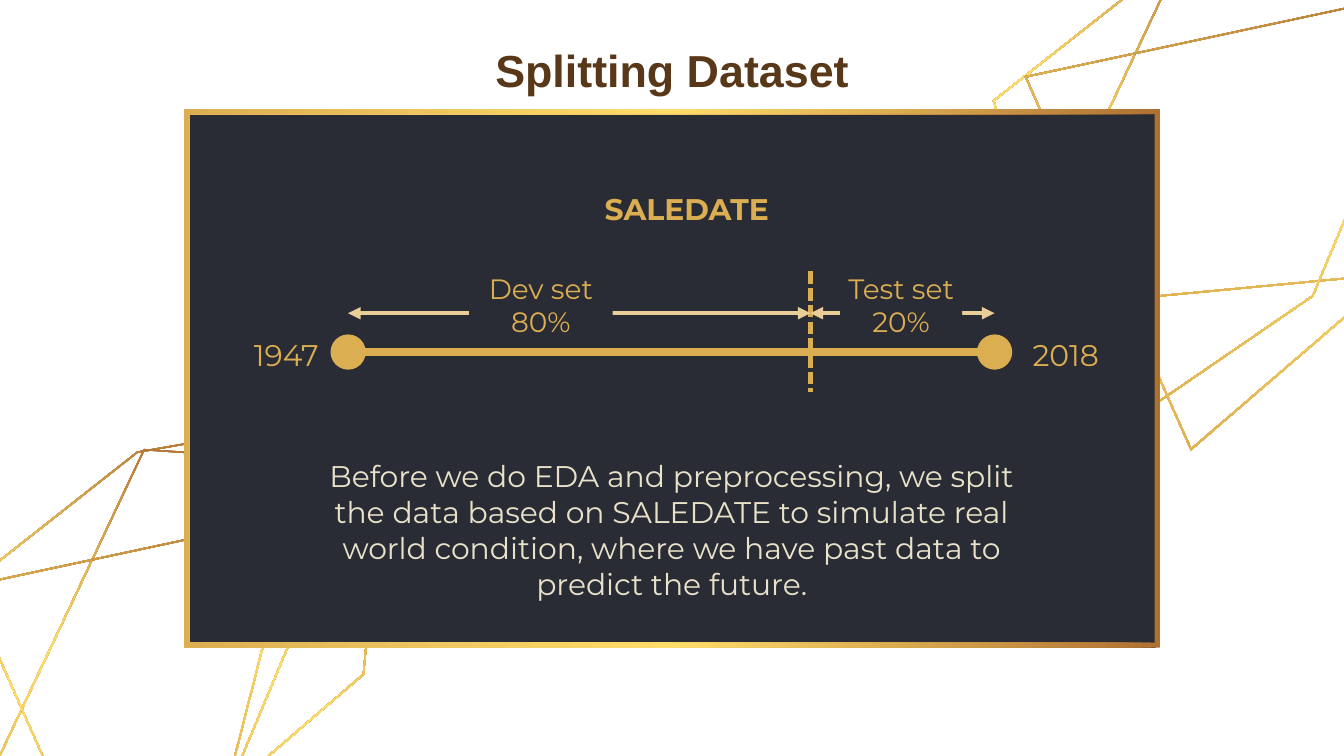
from copy import deepcopy
from math import hypot
from typing import NamedTuple

from lxml import etree
from pptx import Presentation
from pptx.dml.color import RGBColor
from pptx.enum import dml, shapes, text
from pptx.oxml import ns
from pptx.util import Pt

Point = tuple[float, float]

COLORS = {
    "gold": "DCAE52",
    "bright": "FFDD6B",
    "bronze": "AF7132",
    "sand": "EACE97",
    "cream": "E9E2C9",
    "panel": "292C35",
    "brown": "583819",
}
BODY_FONT = "Montserrat"


class Polygon(NamedTuple):
    points: list[Point]  # clockwise, bottom left corner of the slide
    right_shift: Point  # move of its enlarged twin, top right corner


class Label(NamedTuple):
    box: tuple[float, float, float, float]
    words: str
    style: dict


POLYGONS = [
    Polygon([(-38.2, 329.8), (73.4, 241.9), (147.6, 229), (159.8, 273.6),
             (125.3, 409), (-11.5, 421.9)], (577.7, -341.9)),
    Polygon([(49, 463), (-7.9, 420.5), (77, 240.5), (195.8, 248.4),
             (128.9, 408.2)], (548.9, -331)),
    Polygon([(56.2, 481), (-18, 313.9), (203.8, 266.4), (195.1, 361.4)],
            (570.5, -335.8)),
]
TWIN_SCALE = 1.2
FRAME = [(98.6, 58.3), (621.4, 58.3), (621.4, 347), (98.6, 347)]

START_X, SPLIT_X, END_X = 186.5, 434.2, 532.8
AXIS_Y, ARROW_Y = 188.6, 167.8
DOT = 18.9

LABELS = [
    Label((213.8, 21.6, 292.4, 31), "Splitting Dataset",
          dict(size=24, color="brown", font="Arial", bold=True)),
    Label((156.2, 231.8, 407.5, 103.7),
          "Before we do EDA and preprocessing, we split the data based on "
          "SALEDATE to simulate real world condition, where we have past "
          "data to predict the future.", dict(color="cream")),
    Label((124.6, 177.8, 57.6, 24.5), "1947", {}),
    Label((542.2, 177.8, 57.6, 24.5), "2018", {}),
    Label((310.3, 95, 115.2, 33.1), "SALEDATE", dict(bold=True)),
]
SET_LABELS = [
    Label((251.3, 145.4, 77, 36), "Dev set\n80%", dict(size=15, inset=0)),
    Label((450, 145.4, 65.5, 36), "Test set\n20%", dict(size=15, inset=0)),
]


def rgb(name: str) -> RGBColor:
    return RGBColor.from_string(COLORS[name])


def inset_points(points: list[Point], width: float) -> list[Point]:
    """Move every edge of a clockwise polygon inwards by width."""
    normals = []
    for (x1, y1), (x2, y2) in zip(points, points[1:] + points[:1]):
        length = hypot(x2 - x1, y2 - y1)
        normals.append(((y1 - y2) / length, (x2 - x1) / length))
    inner = []
    for i, (x, y) in enumerate(points):
        (ax, ay), (bx, by) = normals[i - 1], normals[i]
        k = width / (1 + ax * bx + ay * by)
        inner.append((x + k * (ax + bx), y + k * (ay + by)))
    return inner


def add_ring(s, points: list[Point], width: float, angle: float) -> None:
    """Draw a closed band with the gold gradient."""
    outer, inner = ([(Pt(x), Pt(y)) for x, y in contour]
                    for contour in (points, inset_points(points, width)))
    inner.reverse()
    builder = s.shapes.build_freeform(*outer[0], scale=1.0)
    builder.add_line_segments(outer[1:], close=True)
    builder.move_to(*inner[0])
    builder.add_line_segments(inner[1:], close=True)
    sp = builder.convert_to_shape()
    sp.shadow.inherit = False
    sp.line.fill.background()
    sp.fill.gradient()
    sp.fill.gradient_angle = angle
    stops = sp._element.spPr.find(".//" + ns.qn("a:gsLst"))
    stops.insert(1, deepcopy(stops[0]))
    for i, name in enumerate(("bronze", "bright", "gold")):
        stop = sp.fill.gradient_stops[i]
        stop.position = i / 2
        stop.color.rgb = rgb(name)


def add_solid(s, kind, box: tuple, color: str):
    sp = s.shapes.add_shape(kind, *map(Pt, box))
    sp.shadow.inherit = False
    sp.fill.solid()
    sp.fill.fore_color.rgb = rgb(color)
    sp.line.fill.background()
    return sp


def add_line(s, start: Point, end: Point, color: str, width: float,
             dash=None, arrows: bool = False) -> None:
    c = s.shapes.add_connector(shapes.MSO_CONNECTOR.STRAIGHT,
                               *map(Pt, start + end))
    c.line.color.rgb = rgb(color)
    c.line.width = Pt(width)
    if dash:
        c.line.dash_style = dash
    if arrows:
        ln = c.line._get_or_add_ln()
        for tag in ("a:headEnd", "a:tailEnd"):
            etree.SubElement(ln, ns.qn(tag), type="triangle")
    etree.SubElement(c._element.spPr, ns.qn("a:effectLst"))


def write(sp, words: str, *, size: float = 16, color: str = "gold",
          font: str = BODY_FONT, bold: bool = False,
          inset: float = 7.2) -> None:
    tf = sp.text_frame
    tf.word_wrap = True
    tf.vertical_anchor = text.MSO_ANCHOR.MIDDLE
    tf.margin_left = tf.margin_right = Pt(inset)
    tf.margin_top = tf.margin_bottom = Pt(inset)
    tf.text = words
    for p in tf.paragraphs:
        p.alignment = text.PP_ALIGN.CENTER
        for r in p.runs:
            r.font.name = font
            r.font.size = Pt(size)
            r.font.bold = bold
            r.font.color.rgb = rgb(color)


def add_timeline(s) -> None:
    add_line(s, (START_X, AXIS_Y), (END_X, AXIS_Y), "gold", 4.5)
    for x in (START_X, END_X):
        add_solid(s, shapes.MSO_SHAPE.OVAL,
                  (x - DOT / 2, AXIS_Y - DOT / 2, DOT, DOT), "gold")
    add_line(s, (SPLIT_X, 145.4), (SPLIT_X, 210.2), "gold", 2.25,
             dash=dml.MSO_LINE.SQUARE_DOT)
    for x1, x2 in ((START_X, SPLIT_X), (SPLIT_X, END_X)):
        add_line(s, (x1, ARROW_Y), (x2, ARROW_Y), "sand", 2.25, arrows=True)
    for label in SET_LABELS:
        sp = add_solid(s, shapes.MSO_SHAPE.RECTANGLE, label.box, "panel")
        write(sp, label.words, **label.style)


def main() -> None:
    prs = Presentation()
    prs.slide_width, prs.slide_height = Pt(720), Pt(405)
    s = prs.slides.add_slide(prs.slide_layouts[6])
    for polygon in POLYGONS:
        dx, dy = polygon.right_shift
        twin = [(x * TWIN_SCALE + dx, y * TWIN_SCALE + dy)
                for x, y in polygon.points]
        for points in (polygon.points, twin):
            add_ring(s, points, 0.8, 264.7)
    add_solid(s, shapes.MSO_SHAPE.RECTANGLE, (100, 59.8, 519.1, 287.3), "panel")
    add_ring(s, FRAME, 2.8, 180)
    add_timeline(s)
    for label in LABELS:
        write(s.shapes.add_textbox(*map(Pt, label.box)), label.words,
              **label.style)
    prs.save("out.pptx")


if __name__ == "__main__":
    main()
